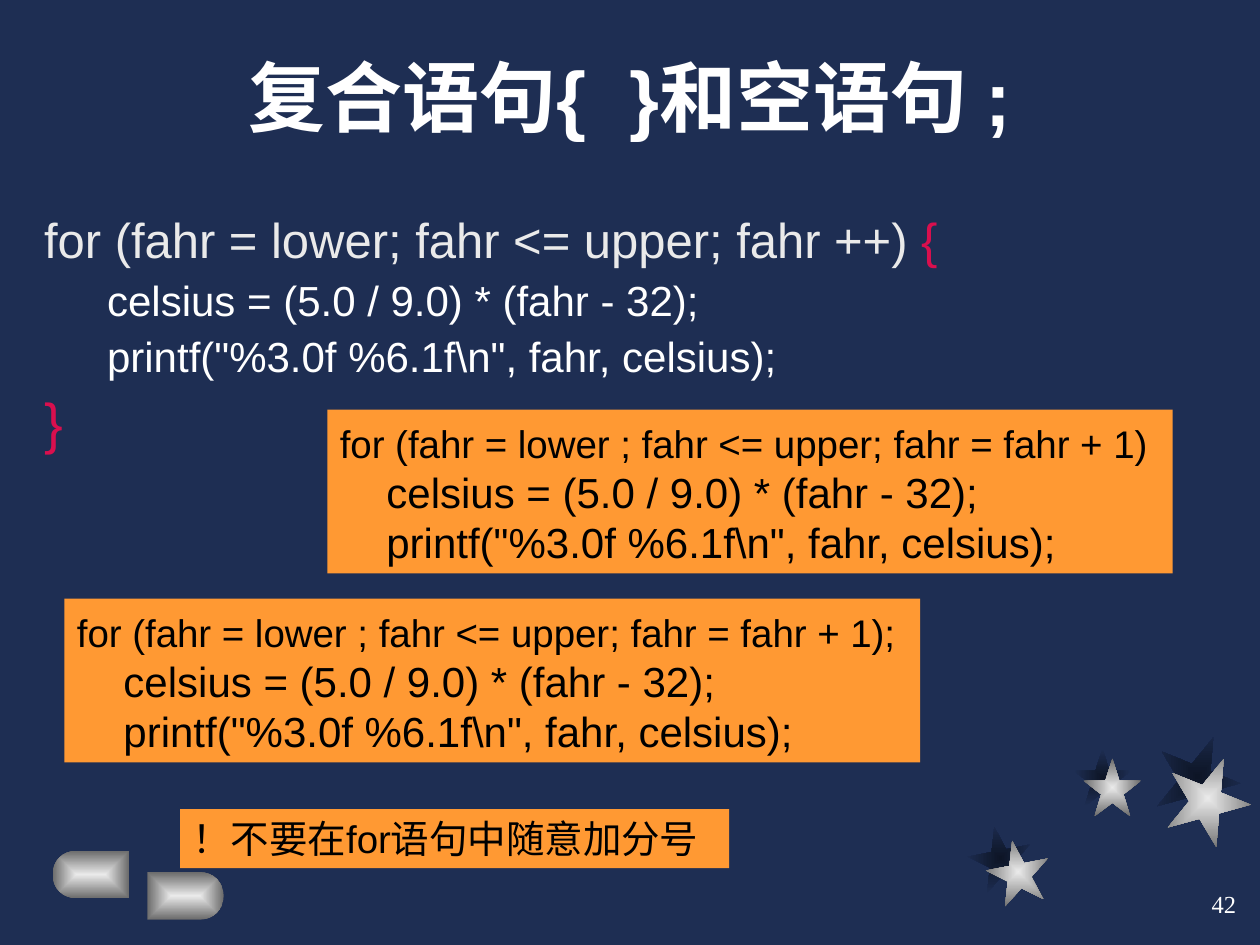
import math
from dataclasses import dataclass

from lxml import etree
from pptx import Presentation
from pptx.dml.color import RGBColor
from pptx.enum.shapes import MSO_SHAPE
from pptx.enum.text import MSO_ANCHOR, MSO_AUTO_SIZE, PP_ALIGN
from pptx.oxml.ns import qn
from pptx.util import Cm, Pt

RECT = MSO_SHAPE.RECTANGLE
STAR = MSO_SHAPE.STAR_5_POINT
TOP, MIDDLE, BOTTOM = MSO_ANCHOR.TOP, MSO_ANCHOR.MIDDLE, MSO_ANCHOR.BOTTOM
LEFT, CENTER, RIGHT = PP_ALIGN.LEFT, PP_ALIGN.CENTER, PP_ALIGN.RIGHT
NO_FIT = MSO_AUTO_SIZE.NONE


@dataclass(frozen=True)
class Theme:
    navy: str = "1E2E53"
    night: str = "0D1526"
    silver: str = "EAEAEA"
    steel: str = "6B6B6B"
    orange: str = "FF9933"
    red: str = "D90F4E"
    white: str = "FFFFFF"
    black: str = "000000"
    sans: str = "Arial"
    serif: str = "Times New Roman"
    title: int = 44
    brace: int = 32
    code: int = 28
    inner: int = 24
    note: int = 22
    number: int = 14


T = Theme()

STATEMENTS = ("celsius = (5.0 / 9.0) * (fahr - 32);",
              'printf("%3.0f %6.1f\\n", fahr, celsius);')
STARS = (
    (19.89, 16.94, 1.27, 349, -0.36, -0.28),
    (21.84, 15.29, 1.17, 0, -0.2, -0.2),
    (23.5, 15.24, 1.7, 22, -0.21, -0.43),
)


def apply(obj, values):
    for name, value in values.items():
        setattr(obj, name, value)


def add_run(p, text, size, color, font=T.sans, bold=False):
    r = p.add_run()
    r.text = text
    apply(r.font, {"size": Pt(size), "name": font, "bold": bold})
    r.font.color.rgb = RGBColor.from_string(color)


def add_line(tf, runs, indent=0, **fmt):
    p = tf.paragraphs[0]
    if p.runs:
        p = tf.add_paragraph()
    apply(p, {"alignment": LEFT, **fmt})
    if indent:
        p._p.get_or_add_pPr().set("marL", str(Cm(indent)))
    for run in runs:
        add_run(p, *run)


def place(sp, x, y, w, h):
    apply(sp, {"left": Cm(x), "top": Cm(y), "width": Cm(w), "height": Cm(h)})


def add_text_box(s, x, y, w, h, anchor=TOP):
    tf = s.shapes.add_textbox(Cm(x), Cm(y), Cm(w), Cm(h)).text_frame
    apply(tf, {"word_wrap": True, "vertical_anchor": anchor})
    return tf


def add_panel(s, x, y, w, h, anchor=TOP):
    sp = s.shapes.add_shape(RECT, Cm(x), Cm(y), Cm(w), Cm(h))
    sp.shadow.inherit = False
    sp.fill.solid()
    sp.fill.fore_color.rgb = RGBColor.from_string(T.orange)
    sp.line.fill.background()
    tf = sp.text_frame
    apply(tf, {"word_wrap": True, "vertical_anchor": anchor, "margin_right": 0})
    return tf


def add_code_panel(s, x, y, w, header):
    tf = add_panel(s, x, y, w, 3.3)
    spacing = Pt(28.8)
    add_line(tf, [(header, T.note, T.black)], line_spacing=spacing)
    for text in STATEMENTS:
        add_line(tf, [(text, T.inner, T.black)], indent=0.94, line_spacing=spacing)


def shade(sp, center, edge):
    sp.shadow.inherit = False
    sp.line.fill.background()
    sp.fill.gradient()
    for stop, color, position in zip(sp.fill.gradient_stops, (center, edge), (0, 1)):
        stop.color.rgb = RGBColor.from_string(color)
        stop.position = position
    grad = sp._element.spPr.find(qn("a:gradFill"))
    lin = grad.find(qn("a:lin"))
    radial = etree.Element(qn("a:path"), {"path": "rect"})
    etree.SubElement(radial, qn("a:fillToRect"), dict.fromkeys("ltrb", "50000"))
    grad.replace(lin, radial)


def add_star(s, x, y, size, rotation, center, edge):
    sp = s.shapes.add_shape(STAR, Cm(x), Cm(y), Cm(size), Cm(size))
    sp.rotation = rotation
    shade(sp, center, edge)


def add_pill(s, flat_x, y, direction):
    w, r = 1.54, 0.48
    cx = flat_x + direction * (w - r)
    angles = [math.pi * (i / 16 - 0.5) for i in range(17)]
    arc = [(Cm(cx + direction * r * math.cos(a)), Cm(y + r + r * math.sin(a)))
           for a in angles]
    fb = s.shapes.build_freeform(Cm(flat_x), Cm(y))
    fb.add_line_segments(arc + [(Cm(flat_x), Cm(y + 2 * r))], close=True)
    shade(fb.convert_to_shape(), T.silver, T.steel)


def add_ornaments(s):
    for x, y, size, rotation, dx, dy in STARS:
        add_star(s, x + dx, y + dy, size, rotation, T.night, T.navy)
    for x, y, size, rotation, dx, dy in STARS:
        add_star(s, x, y, size, rotation, T.silver, T.steel)
    add_pill(s, 2.6, 17.15, -1)
    add_pill(s, 2.97, 17.58, 1)


def set_title(s, text):
    sp = s.shapes.title
    place(sp, 1.9, 0.64, 21.59, 2.34)
    apply(sp.text_frame, {"vertical_anchor": BOTTOM, "auto_size": NO_FIT})
    add_line(sp.text_frame, [(text, T.title, T.white, T.sans, True)], alignment=CENTER)


def add_loop(s):
    tf = add_text_box(s, 0.64, 4.24, 24.13, 5.51)
    add_line(tf, [("for (fahr = lower; fahr <= upper; fahr ++) ", T.code, T.silver),
                  ("{", T.code, T.red)], line_spacing=0.9, space_before=Pt(7))
    for text in STATEMENTS:
        add_line(tf, [(text, T.inner, T.white)], indent=1.27,
                 line_spacing=0.9, space_before=Pt(6))
    add_line(tf, [("}", T.brace, T.red)], line_spacing=0.9, space_before=Pt(8))


def main():
    prs = Presentation()
    apply(prs, {"slide_width": Cm(25.4), "slide_height": Cm(19.05)})
    s = prs.slides.add_slide(prs.slide_layouts[5])
    s.background.fill.solid()
    s.background.fill.fore_color.rgb = RGBColor.from_string(T.navy)

    add_ornaments(s)
    set_title(s, "复合语句{  }和空语句 ;")
    add_loop(s)
    header = "for (fahr = lower ; fahr <= upper; fahr = fahr + 1)"
    add_code_panel(s, 6.6, 8.26, 17.04, header)
    add_code_panel(s, 1.3, 12.07, 17.25, header + ";")
    warning = add_panel(s, 3.63, 16.31, 11.07, 1.19, MIDDLE)
    add_line(warning, [("！不要在for语句中随意加分号", T.note, T.black)])
    number = add_text_box(s, 19.89, 17.58, 5.28, 1.27, MIDDLE)
    add_line(number, [("42", T.number, T.white, T.serif)], alignment=RIGHT)
    prs.save("out.pptx")


if __name__ == "__main__":
    main()
